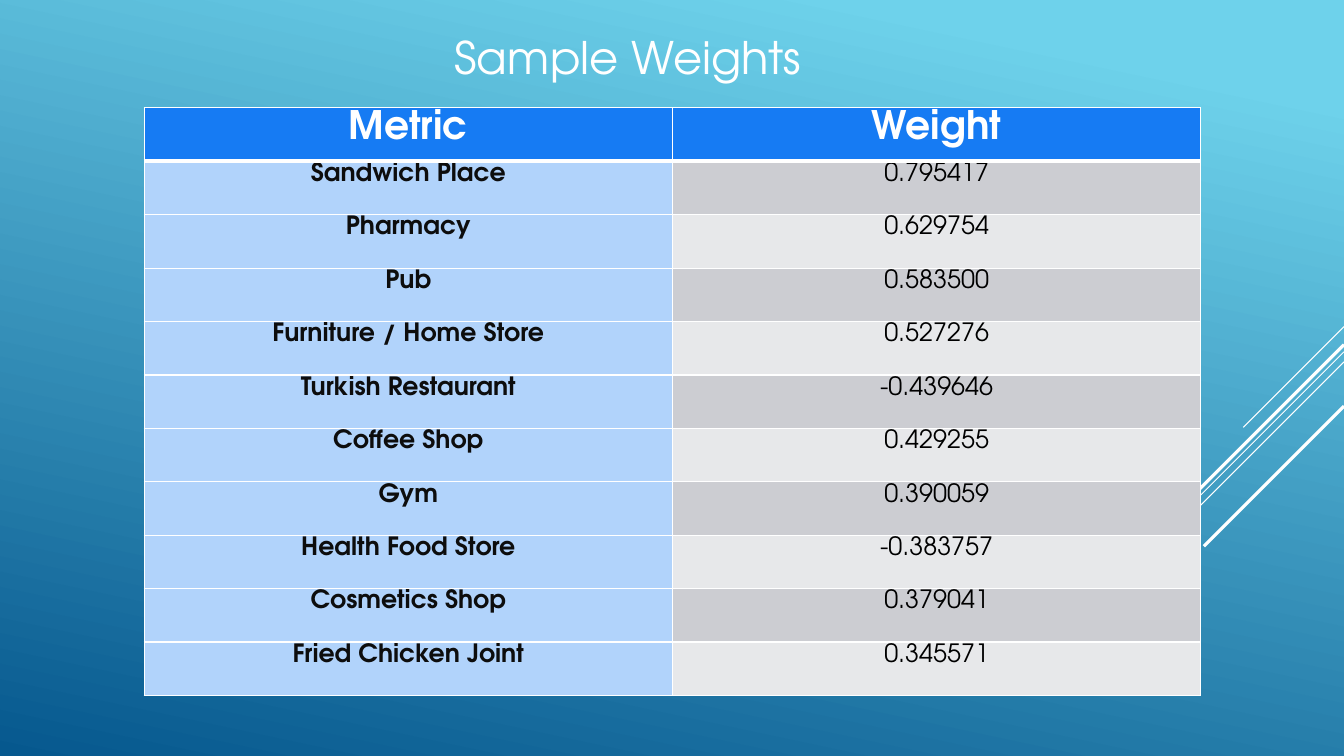
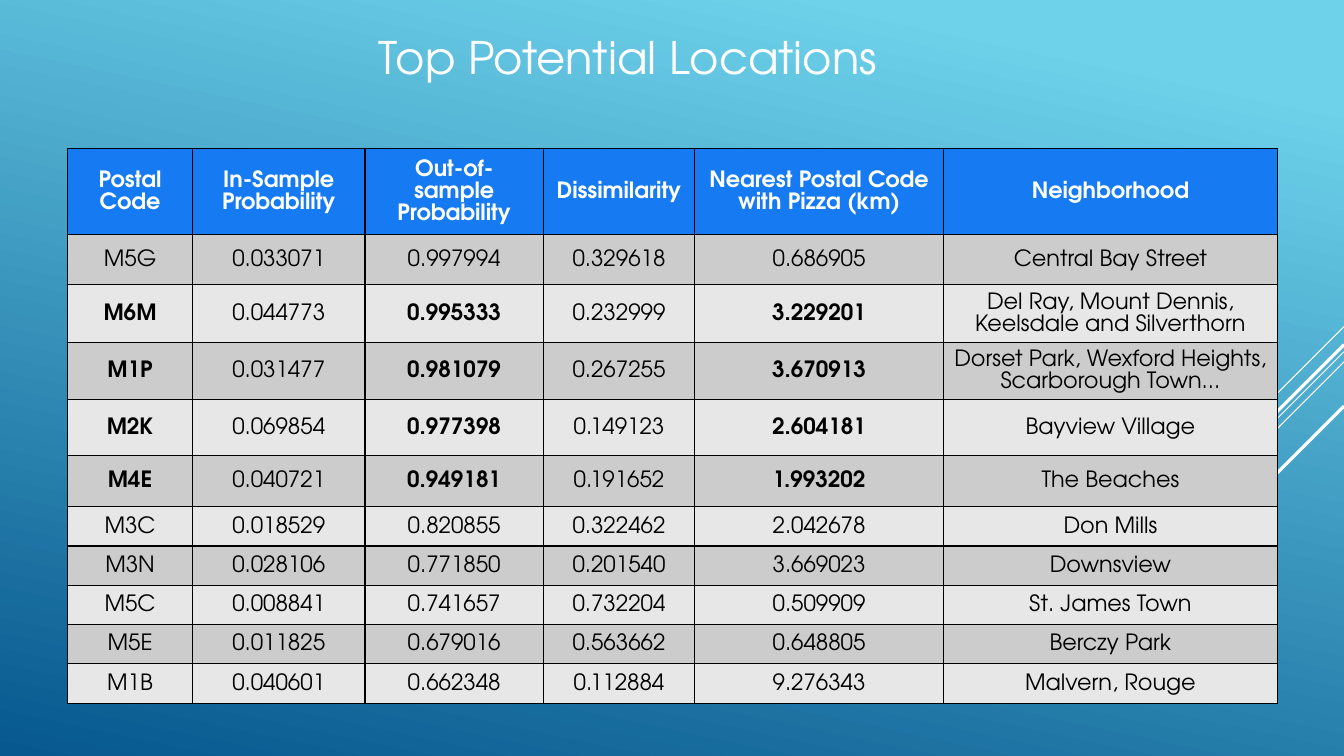
from dataclasses import dataclass
from typing import Any, Callable

from lxml import etree
from pptx import Presentation
from pptx.dml.color import RGBColor
from pptx.enum.shapes import MSO_CONNECTOR
from pptx.enum.text import MSO_ANCHOR, MSO_AUTO_SIZE, PP_ALIGN
from pptx.oxml.ns import qn
from pptx.util import Inches, Pt

FONT = "TeX Gyre Adventor"
WHITE = RGBColor(0xFF, 0xFF, 0xFF)
BLACK = RGBColor(0x00, 0x00, 0x00)
INK = RGBColor(0x0D, 0x0D, 0x0D)
SKY = RGBColor(0x6E, 0xD2, 0xEB)
DEEP = RGBColor(0x06, 0x58, 0x8E)
HEADER_BLUE = RGBColor(0x16, 0x7B, 0xF3)
LABEL_BLUE = RGBColor(0xB1, 0xD3, 0xFB)
COOL_BANDS = (RGBColor(0xCC, 0xCD, 0xD2), RGBColor(0xE7, 0xE8, 0xEA))
GREY_BANDS = (RGBColor(0xCC, 0xCC, 0xCC), RGBColor(0xE7, 0xE7, 0xE7))

PAGE_WIDTH, PAGE_HEIGHT = 13.33, 7.5


@dataclass(frozen=True)
class Ray:
    """A diagonal from the right edge, falling to the left at 45 degrees."""
    top: float
    run: float
    weight: float


@dataclass(frozen=True)
class CellStyle:
    fill: RGBColor
    color: RGBColor
    size: float
    bold: bool


@dataclass(frozen=True)
class Grid:
    title: str
    left: float
    top: float
    columns: list[float]
    heights: list[float]
    inset: float
    anchor: MSO_ANCHOR
    border: RGBColor
    header_rule: float
    style: Callable[[int, int], CellStyle]
    rows: list[tuple[str, ...]]


RAYS = [
    Ray(3.24, 1.0, 0.75),
    Ray(3.49, 3.26, 0.75),
    Ray(3.59, 2.07, 0.75),
    Ray(3.42, 1.91, 2.25),
    Ray(4.03, 1.39, 2.25),
]


# Cell styles of the two tables
def weight_style(row: int, column: int) -> CellStyle:
    if row == 0:
        return CellStyle(HEADER_BLUE, WHITE, 28, True)
    if column == 0:
        return CellStyle(LABEL_BLUE, INK, 18, True)
    return CellStyle(COOL_BANDS[(row - 1) % 2], BLACK, 18, False)


def location_style(row: int, column: int) -> CellStyle:
    if row == 0:
        return CellStyle(HEADER_BLUE, WHITE, 16, True)
    best = 2 <= row <= 5 and column in (0, 2, 4)
    return CellStyle(GREY_BANDS[(row - 1) % 2], BLACK, 16, best)


# Slide content
WEIGHTS = Grid(
    "Sample Weights", 1.43, 1.07, [5.24] * 2, [0.53] * 11,
    0.07, MSO_ANCHOR.TOP, WHITE, 3, weight_style,
    [
        ("Metric", "Weight"),
        ("Sandwich Place", "0.795417"),
        ("Pharmacy", "0.629754"),
        ("Pub", "0.583500"),
        ("Furniture / Home Store", "0.527276"),
        ("Turkish Restaurant", "-0.439646"),
        ("Coffee Shop", "0.429255"),
        ("Gym", "0.390059"),
        ("Health Food Store", "-0.383757"),
        ("Cosmetics Shop", "0.379041"),
        ("Fried Chicken Joint", "0.345571"),
    ],
)
LOCATIONS = Grid(
    "Top Potential Locations", 0.67, 1.47,
    [1.24, 1.71, 1.77, 1.5, 2.47, 3.31],
    [0.81, 0.5, 0.57, 0.57, 0.55, 0.51] + [0.39] * 5,
    0.1, MSO_ANCHOR.MIDDLE, BLACK, 1, location_style,
    [
        ("Postal Code", "In-Sample Probability", "Out-of-sample Probability",
         "Dissimilarity", "Nearest Postal Code with Pizza (km)", "Neighborhood"),
        ("M5G", "0.033071", "0.997994", "0.329618", "0.686905", "Central Bay Street"),
        ("M6M", "0.044773", "0.995333", "0.232999", "3.229201",
         "Del Ray, Mount Dennis, Keelsdale and Silverthorn"),
        ("M1P", "0.031477", "0.981079", "0.267255", "3.670913",
         "Dorset Park, Wexford Heights, Scarborough Town..."),
        ("M2K", "0.069854", "0.977398", "0.149123", "2.604181", "Bayview Village"),
        ("M4E", "0.040721", "0.949181", "0.191652", "1.993202", "The Beaches"),
        ("M3C", "0.018529", "0.820855", "0.322462", "2.042678", "Don Mills"),
        ("M3N", "0.028106", "0.771850", "0.201540", "3.669023", "Downsview"),
        ("M5C", "0.008841", "0.741657", "0.732204", "0.509909", "St. James Town"),
        ("M5E", "0.011825", "0.679016", "0.563662", "0.648805", "Berczy Park"),
        ("M1B", "0.040601", "0.662348", "0.112884", "9.276343", "Malvern, Rouge"),
    ],
)


# Shared helpers
def set_all(target: Any, values: dict[str, Any]) -> None:
    for name, value in values.items():
        setattr(target, name, value)


def write(para: Any, text: str, size: float, color: RGBColor, bold: bool = False) -> None:
    para.alignment = PP_ALIGN.CENTER
    span = para.add_run()
    span.text = text
    set_all(span.font, {"name": FONT, "size": Pt(size), "bold": bold})
    span.font.color.rgb = color


def add_background(page: Any) -> None:
    fill = page.background.fill
    fill.gradient()
    fill.gradient_angle = 360 - 102
    for stop, color, position in zip(fill.gradient_stops, (SKY, DEEP), (0.1, 1.0)):
        stop.color.rgb = color
        stop.position = position


def add_ray(page: Any, ray: Ray) -> None:
    line = page.shapes.add_connector(
        MSO_CONNECTOR.STRAIGHT, Inches(PAGE_WIDTH), Inches(ray.top),
        Inches(PAGE_WIDTH - ray.run), Inches(ray.top + ray.run))
    line.line.color.rgb = WHITE
    line.line.width = Pt(ray.weight)
    etree.SubElement(line._element.spPr, qn("a:effectLst"))


def add_title(page: Any, text: str) -> None:
    box = page.shapes.add_textbox(Inches(2.74), Inches(0.25), Inches(6.98), Inches(0.64))
    set_all(box.text_frame, {"word_wrap": True, "auto_size": MSO_AUTO_SIZE.SHAPE_TO_FIT_TEXT})
    write(box.text_frame.paragraphs[0], text, 32, WHITE)


def add_borders(cell: Any, color: RGBColor, widths: dict[str, float]) -> None:
    properties = cell._tc.get_or_add_tcPr()
    for index, (side, width) in enumerate(widths.items()):
        line = etree.Element(qn(f"a:ln{side}"), w=str(Pt(width)))
        fill = etree.SubElement(line, qn("a:solidFill"))
        etree.SubElement(fill, qn("a:srgbClr"), val=str(color))
        properties.insert(index, line)


def add_grid(page: Any, grid: Grid) -> None:
    table = page.shapes.add_table(
        len(grid.rows), len(grid.columns), Inches(grid.left), Inches(grid.top),
        Inches(sum(grid.columns)), Inches(sum(grid.heights))).table
    set_all(table, {"first_row": False, "horz_banding": False})
    for column, width in zip(table.columns, grid.columns):
        column.width = Inches(width)
    for row, height in zip(table.rows, grid.heights):
        row.height = Inches(height)
    for r, texts in enumerate(grid.rows):
        widths = {"L": 1, "R": 1,
                  "T": grid.header_rule if r == 1 else 1,
                  "B": grid.header_rule if r == 0 else 1}
        for c, text in enumerate(texts):
            cell, style = table.cell(r, c), grid.style(r, c)
            set_all(cell, {
                "margin_left": Inches(grid.inset), "margin_right": Inches(grid.inset),
                "margin_top": 0, "margin_bottom": 0, "vertical_anchor": grid.anchor})
            cell.fill.solid()
            cell.fill.fore_color.rgb = style.fill
            add_borders(cell, grid.border, widths)
            para = cell.text_frame.paragraphs[0]
            para.line_spacing = 1.07
            write(para, text, style.size, style.color, style.bold)


def main() -> None:
    deck = Presentation()
    set_all(deck, {"slide_width": Inches(PAGE_WIDTH), "slide_height": Inches(PAGE_HEIGHT)})
    for grid in (WEIGHTS, LOCATIONS):
        page = deck.slides.add_slide(deck.slide_layouts[6])
        add_background(page)
        for ray in RAYS:
            add_ray(page, ray)
        add_title(page, grid.title)
        add_grid(page, grid)
    deck.save("out.pptx")


if __name__ == "__main__":
    main()
